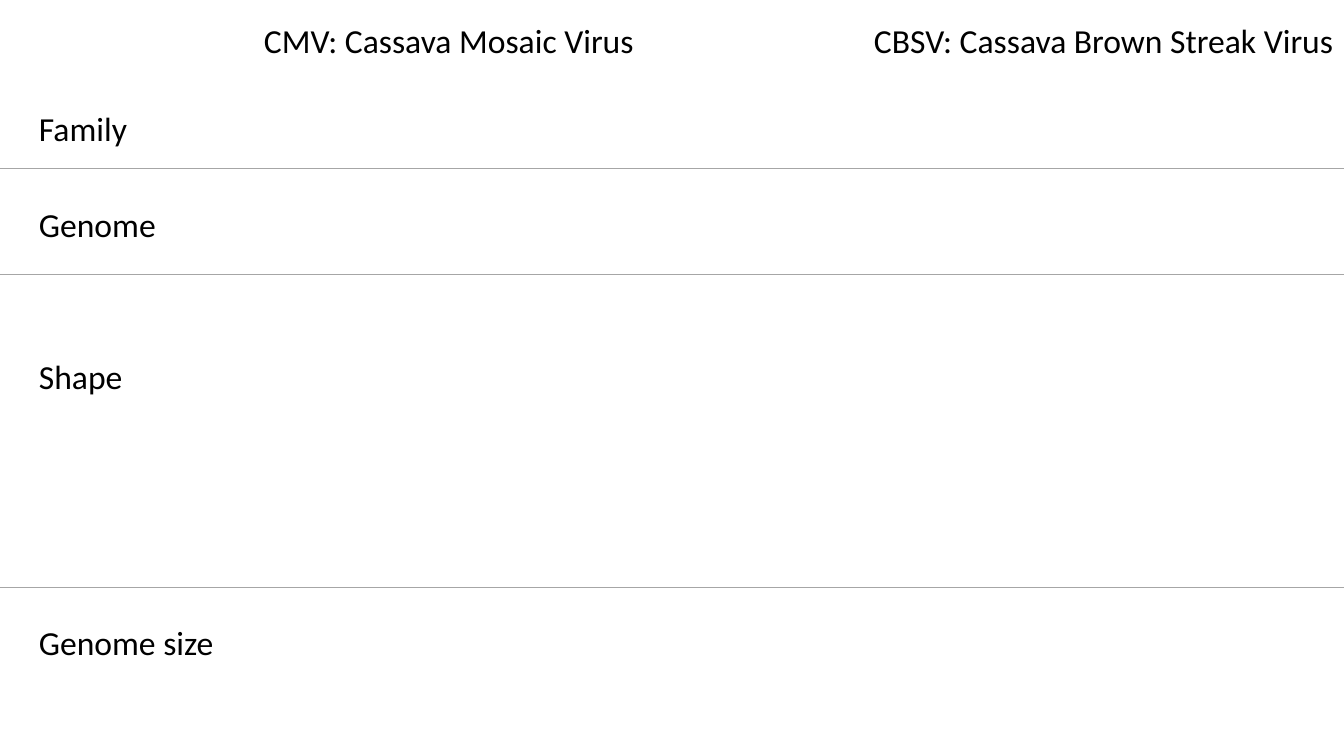
from lxml.etree import SubElement
from pptx import Presentation
from pptx.dml.color import RGBColor
from pptx.enum.shapes import MSO_CONNECTOR
from pptx.enum.text import MSO_AUTO_SIZE
from pptx.oxml.ns import qn
from pptx.util import Emu, Pt

SLIDE_WIDTH, SLIDE_HEIGHT = 1344, 756
HEADER_TOP, LABEL_LEFT, TEXT_HEIGHT = 15, 29, 50

VIRUSES = [
    ("CMV: Cassava Mosaic Virus", 254, 393),
    ("CBSV: Cassava Brown Streak Virus", 864, 484),
]
PROPERTIES = [
    ("Family", 103, 109),
    ("Genome", 199, 138),
    ("Shape", 351, 105),
    ("Genome size", 617, 197),
]
DIVIDERS = [168, 274, 587]
TEXT_FORMAT = {"name": "Calibri", "size": Pt(24)}
FRAME_FORMAT = {"word_wrap": False, "auto_size": MSO_AUTO_SIZE.SHAPE_TO_FIT_TEXT}


def px(length):
    return Emu(round(length * 914400 / 100.8))


def color(value):
    return RGBColor.from_string(value)


def apply_format(target, values):
    for name, value in values.items():
        setattr(target, name, value)


def add_label(slide, text, left, top, width):
    box = slide.shapes.add_textbox(px(left), px(top), px(width), px(TEXT_HEIGHT))
    apply_format(box.text_frame, FRAME_FORMAT)
    paragraph = box.text_frame.paragraphs[0]
    run = paragraph.add_run()
    run.text = text
    apply_format(run.font, TEXT_FORMAT)
    run.font.color.rgb = color("000000")


def add_divider(slide, top):
    line = slide.shapes.add_connector(
        MSO_CONNECTOR.STRAIGHT, 0, px(top), px(SLIDE_WIDTH), px(top)
    )
    line.line.color.rgb = color("A6A6A6")
    line.line.width = Pt(0.5)
    SubElement(line._element.spPr, qn("a:effectLst"))


def main():
    presentation = Presentation()
    presentation.slide_width = px(SLIDE_WIDTH)
    presentation.slide_height = px(SLIDE_HEIGHT)
    slide = presentation.slides.add_slide(presentation.slide_layouts[6])
    for text, left, width in VIRUSES:
        add_label(slide, text, left, HEADER_TOP, width)
    for text, top, width in PROPERTIES:
        add_label(slide, text, LABEL_LEFT, top, width)
    for top in DIVIDERS:
        add_divider(slide, top)
    presentation.save("out.pptx")


if __name__ == "__main__":
    main()
